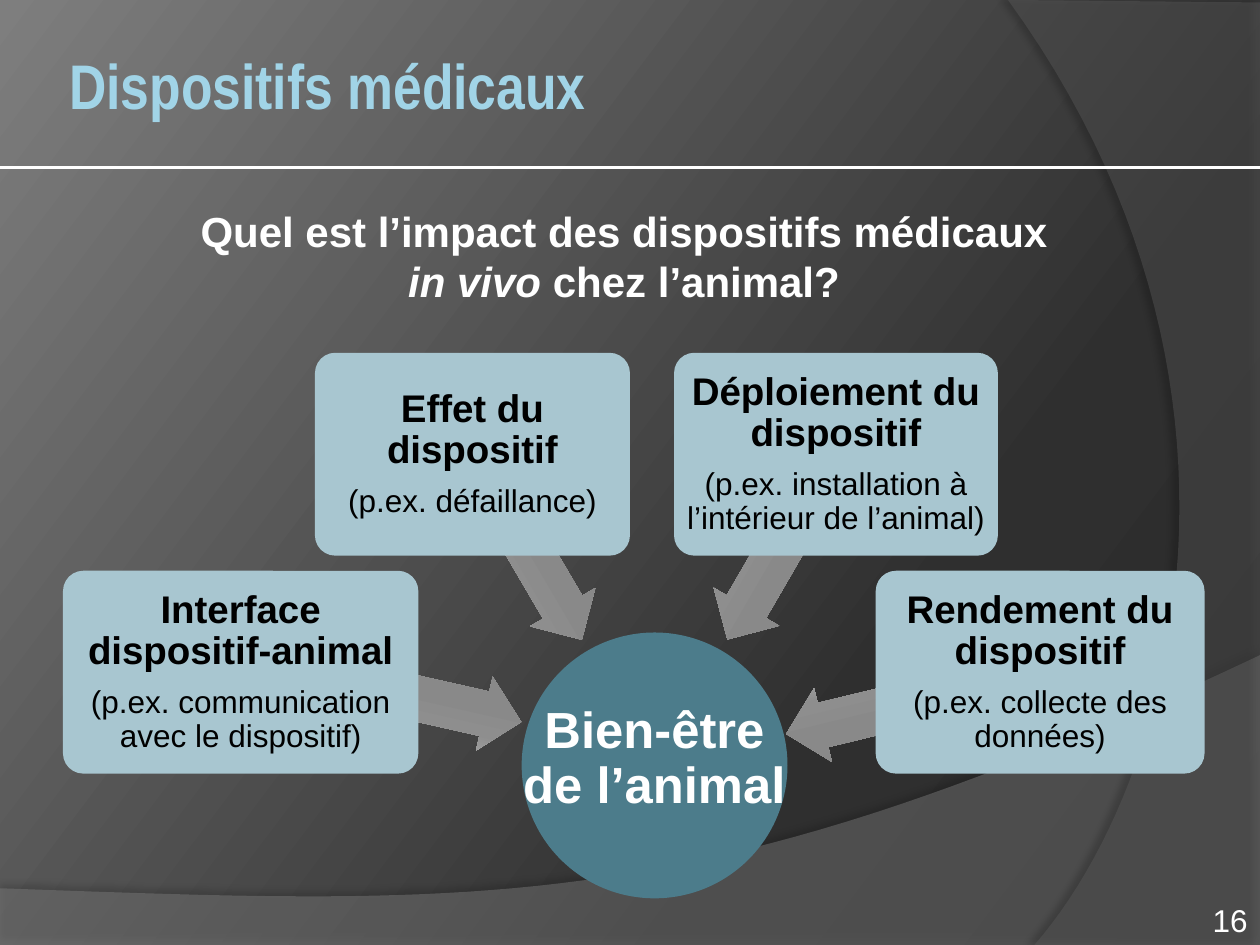
from dataclasses import dataclass
from typing import NamedTuple

from lxml.etree import SubElement
from pptx import Presentation
from pptx.dml.color import RGBColor
from pptx.enum.shapes import MSO_CONNECTOR, MSO_SHAPE
from pptx.enum.text import MSO_ANCHOR, PP_ALIGN
from pptx.oxml.ns import qn
from pptx.util import Inches, Pt


@dataclass(frozen=True)
class Theme:
    white: str = "FFFFFF"
    black: str = "000000"
    title: str = "A1D4E7"
    card: str = "A8C6D0"
    hub: str = "4C7C8B"
    lower_wave: str = "7F7F7F"
    right_wave: str = "5E5E5E"
    backdrop: tuple = ((0, "282828"), (30, "2F2F2F"), (100, "7E7E7E"))
    arrow: tuple = ((0, "C9C9C9"), (25, "A3A3A3"), (38, "8E8E8E"), (55, "898989"),
                    (80, "888888"), (88, "8F8F8F"), (100, "AFAFAF"))
    body_font: str = "Arial"
    title_font: str = "Arial Narrow"
    title_size: int = 36
    question_size: int = 24
    hub_size: int = 29
    heading_size: int = 22
    detail_size: int = 18


class Box(NamedTuple):
    left: float
    top: float
    width: float
    height: float

    def lengths(self) -> list:
        return [Inches(value) for value in self]


class Factor(NamedTuple):
    card: Box
    arrow: Box
    rotation: float
    heading: str
    detail: str


THEME = Theme()
CARD_HEIGHT = 1.61
UPPER_ROW, LOWER_ROW = 2.8, 4.53
HUB = Box(4.14, 5.02, 2.11, 2.11)
FACTORS = [
    Factor(Box(0.5, LOWER_ROW, 2.82, CARD_HEIGHT), Box(2.25, 5.22, 1.91, 0.6), 192.7,
           "Interface dispositif-animal", "(p.ex. communication avec le dispositif)"),
    Factor(Box(2.5, UPPER_ROW, 2.5, CARD_HEIGHT), Box(3.33, 4.04, 1.71, 0.6), 239.6,
           "Effet du dispositif", "(p.ex. défaillance)"),
    Factor(Box(5.35, UPPER_ROW, 2.57, CARD_HEIGHT), Box(5.35, 4.04, 1.7, 0.6), 300.1,
           "Déploiement du dispositif", "(p.ex. installation à l’intérieur de l’animal)"),
    Factor(Box(6.95, LOWER_ROW, 2.61, CARD_HEIGHT), Box(6.21, 5.27, 2.17, 0.6), 346.4,
           "Rendement du dispositif", "(p.ex. collecte des données)"),
]


def set_gradient(fill, parent, stops: tuple, angle: int) -> None:
    fill.solid()
    solid = parent.find(qn("a:solidFill"))
    gradient = parent.makeelement(qn("a:gradFill"), {"rotWithShape": "1"})
    stop_list = SubElement(gradient, qn("a:gsLst"))
    for position, color in stops:
        stop = SubElement(stop_list, qn("a:gs"), pos=str(position * 1000))
        SubElement(stop, qn("a:srgbClr"), val=color)
    SubElement(gradient, qn("a:lin"), ang=str(angle * 60000), scaled="0")
    parent.replace(solid, gradient)


def add_run(paragraph, text: str, size: int, color: str, bold: bool = False,
            italic: bool = False, font: str = THEME.body_font) -> None:
    run = paragraph.add_run()
    run.text = text
    run.font.name = font
    run.font.size = Pt(size)
    run.font.bold = bold
    run.font.italic = italic
    run.font.color.rgb = RGBColor.from_string(color)


def set_frame(shape, anchor, margin: float) -> None:
    frame = shape.text_frame
    frame.word_wrap = True
    frame.vertical_anchor = anchor
    frame.margin_left = frame.margin_right = Inches(margin)
    frame.margin_top = frame.margin_bottom = Inches(margin)


def add_text(slide, box: Box, align, anchor=MSO_ANCHOR.TOP, margin: float = 0.05):
    text = slide.shapes.add_textbox(*box.lengths())
    set_frame(text, anchor, margin)
    text.text_frame.paragraphs[0].alignment = align
    return text.text_frame


def add_plain_shape(slide, preset, box: Box, color: str = THEME.card):
    shape = slide.shapes.add_shape(preset, *box.lengths())
    shape.shadow.inherit = False
    shape.line.fill.background()
    shape.fill.solid()
    shape.fill.fore_color.rgb = RGBColor.from_string(color)
    return shape


def curve(start: tuple, pull: tuple, push: tuple, end: tuple, steps: int = 48) -> list:
    points = []
    for step in range(steps + 1):
        t = step / steps
        weights = ((1 - t) ** 3, 3 * t * (1 - t) ** 2, 3 * t ** 2 * (1 - t), t ** 3)
        points.append(tuple(sum(w * p[axis] for w, p in zip(weights, (start, pull, push, end)))
                            for axis in (0, 1)))
    return points


def add_wave(slide, points: list, color: str, opacity: int, shadow_opacity: int,
             distance: float, direction: int) -> None:
    outline = [(Inches(x), Inches(y)) for x, y in points]
    builder = slide.shapes.build_freeform(*outline[0])
    builder.add_line_segments(outline[1:], close=True)
    wave = builder.convert_to_shape()
    wave.line.fill.background()
    wave.fill.solid()
    wave.fill.fore_color.rgb = RGBColor.from_string(color)
    wave.shadow.inherit = False
    properties = wave.element.spPr
    SubElement(properties.find(qn("a:solidFill"))[0], qn("a:alpha"), val=str(opacity * 1000))
    shadow = SubElement(properties.find(qn("a:effectLst")), qn("a:outerShdw"),
                        blurRad=str(Pt(4)), dist=str(Pt(distance)),
                        dir=str(direction * 60000), algn="ctr", rotWithShape="0")
    shade = SubElement(shadow, qn("a:srgbClr"), val=THEME.black)
    SubElement(shade, qn("a:alpha"), val=str(shadow_opacity * 1000))


def add_backdrop(slide) -> None:
    fill = slide.background.fill
    fill.solid()
    set_gradient(fill, slide.element.find(".//" + qn("p:bgPr")), THEME.backdrop, 217)
    add_wave(slide, [(0, 7.5), (10, 7.5)] + curve((10, 5.2), (5.59, 7.29), (3.91, 7.19), (0, 7.05)),
             THEME.lower_wave, 45, 35, 3.5, 270)
    add_wave(slide, [(10, 0.02), (10, 7.5)] + curve((8.21, 7.5), (9.35, 6.19), (10.18, 3), (8, 0)),
             THEME.right_wave, 40, 45, 4, 180)
    rule = slide.shapes.add_connector(MSO_CONNECTOR.STRAIGHT, Inches(0), Inches(1.33),
                                      Inches(10), Inches(1.33))
    rule.line.color.rgb = RGBColor.from_string(THEME.white)
    rule.line.width = Pt(2)
    SubElement(rule.element.spPr, qn("a:effectLst"))


def add_headings(slide) -> None:
    title = add_text(slide, Box(0.5, 0.04, 8.17, 1.25), PP_ALIGN.LEFT, MSO_ANCHOR.MIDDLE)
    add_run(title.paragraphs[0], "Dispositifs médicaux", THEME.title_size, THEME.title,
            bold=True, font=THEME.title_font)
    question = add_text(slide, Box(0.5, 1.58, 9, 1.22), PP_ALIGN.CENTER).paragraphs[0]
    style = (THEME.question_size, THEME.white, True)
    add_run(question, "Quel est l’impact des dispositifs médicaux ", *style)
    question.add_line_break()
    add_run(question, "in vivo ", *style, italic=True)
    add_run(question, "chez l’animal? ", *style)


def add_hub(slide) -> None:
    add_plain_shape(slide, MSO_SHAPE.OVAL, HUB, THEME.hub)
    label = add_text(slide, HUB, PP_ALIGN.CENTER, MSO_ANCHOR.MIDDLE, margin=0)
    label.margin_bottom = Inches(0.1)
    label.paragraphs[0].line_spacing = 0.9
    add_run(label.paragraphs[0], "Bien-être de l’animal", THEME.hub_size, THEME.white, bold=True)


def add_factor(slide, factor: Factor) -> None:
    arrow = add_plain_shape(slide, MSO_SHAPE.LEFT_ARROW, factor.arrow)
    arrow.adjustments[0], arrow.adjustments[1] = 0.6, 0.5
    arrow.rotation = factor.rotation
    set_gradient(arrow.fill, arrow.element.spPr, THEME.arrow, 90)
    card = add_plain_shape(slide, MSO_SHAPE.ROUNDED_RECTANGLE, factor.card)
    card.adjustments[0] = 0.1
    set_frame(card, MSO_ANCHOR.MIDDLE, 0)
    heading = card.text_frame.paragraphs[0]
    detail = card.text_frame.add_paragraph()
    for paragraph in (heading, detail):
        paragraph.alignment = PP_ALIGN.CENTER
        paragraph.line_spacing = 0.9
    heading.space_after = Pt(7.7)
    add_run(heading, factor.heading, THEME.heading_size, THEME.black, bold=True)
    add_run(detail, factor.detail, THEME.detail_size, THEME.black)


def main() -> None:
    deck = Presentation()
    deck.slide_width, deck.slide_height = Inches(10), Inches(7.5)
    slide = deck.slides.add_slide(deck.slide_layouts[6])
    add_backdrop(slide)
    add_headings(slide)
    add_hub(slide)
    for factor in FACTORS:
        add_factor(slide, factor)
    number = add_text(slide, Box(7.67, 7.1, 2.33, 0.4), PP_ALIGN.RIGHT)
    number.margin_right = Inches(0.1)
    add_run(number.paragraphs[0], "16", THEME.detail_size, THEME.white)
    deck.save("out.pptx")


if __name__ == "__main__":
    main()
